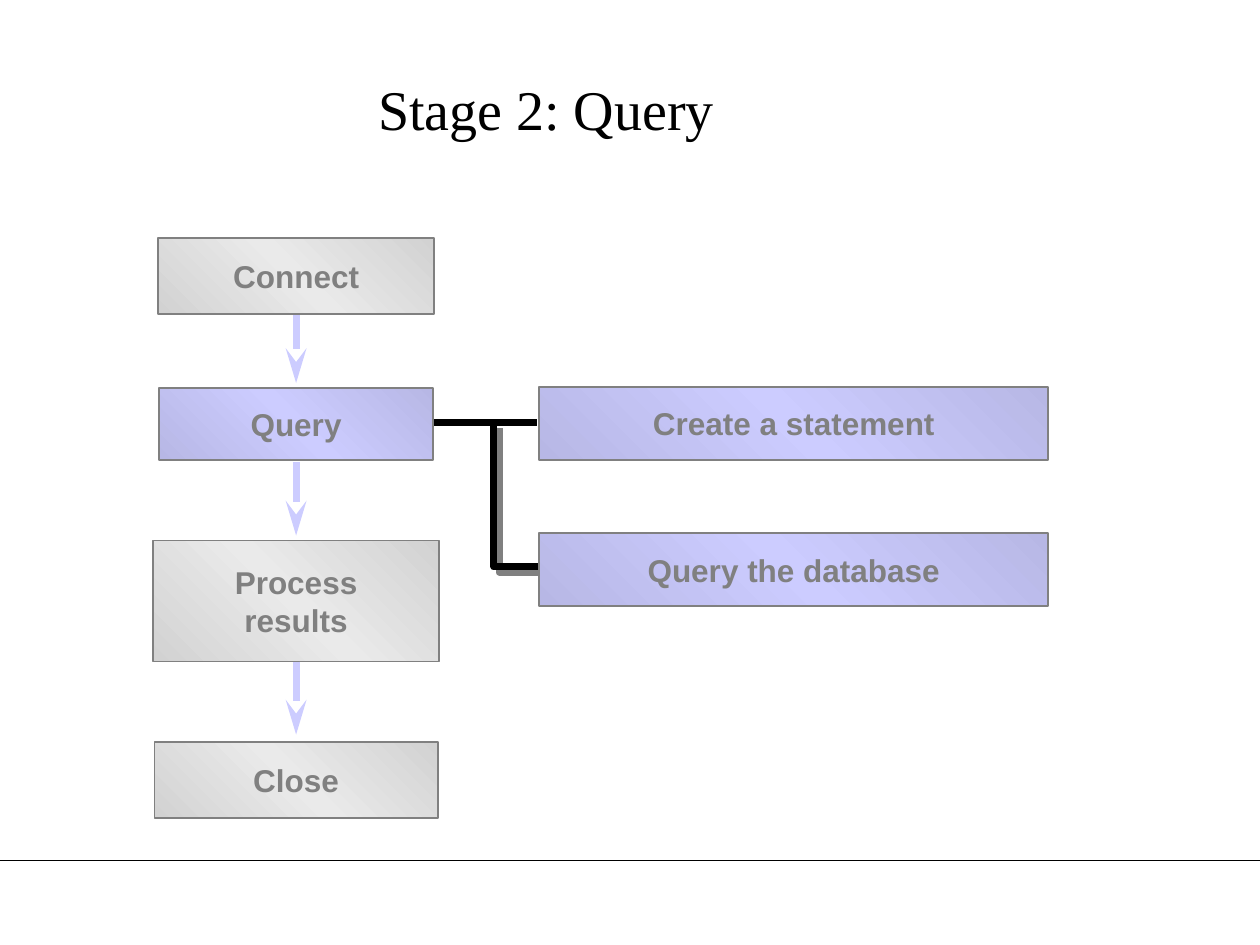
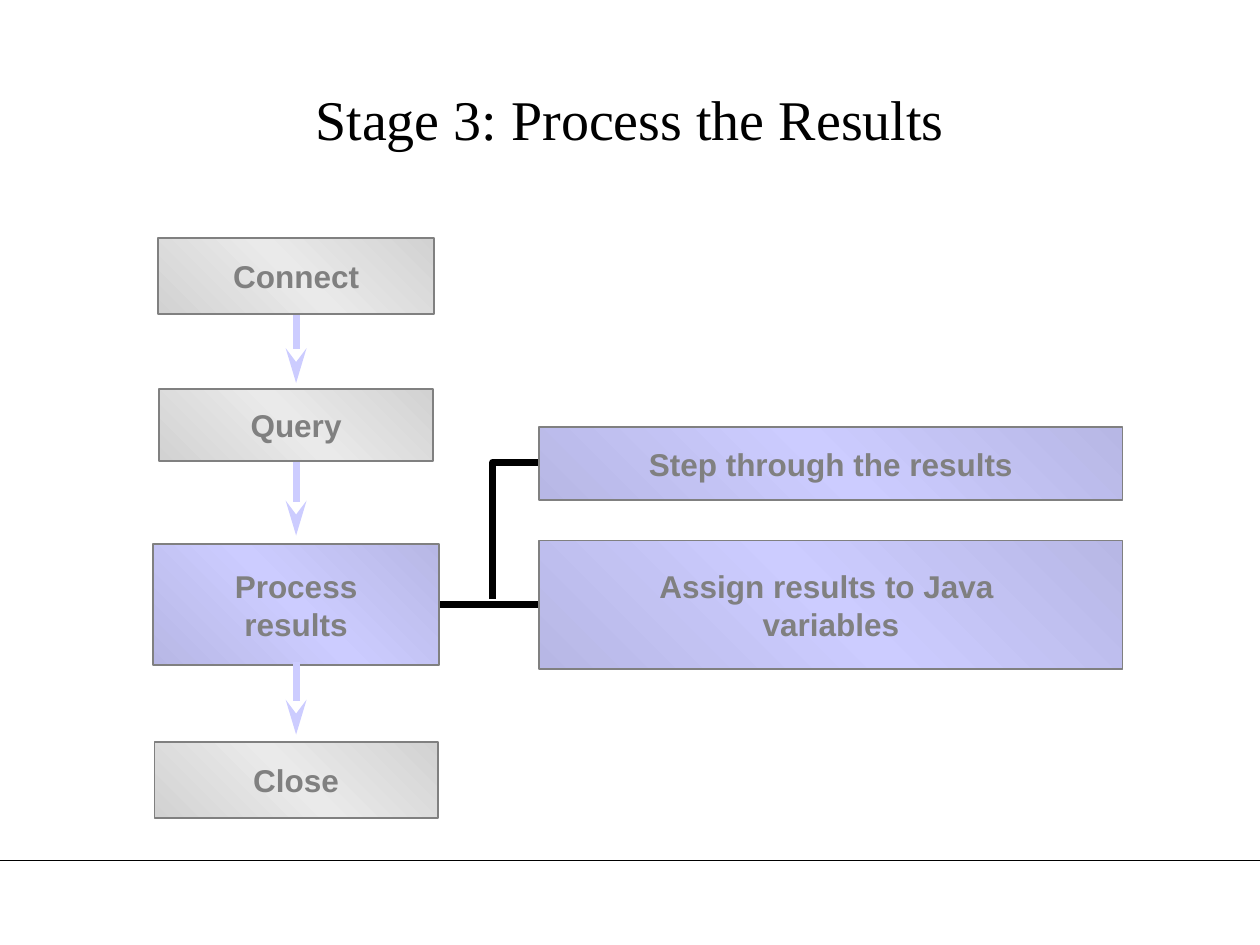
import pptx
import pptx.util
import pptx.dml.color
import pptx.enum.shapes
import pptx.enum.text
import pptx.oxml.ns
from lxml import etree

COLS, ROWS = 100, 75
WIDTH, HEIGHT = pptx.util.Inches(10), pptx.util.Inches(7.5)
GREY = ("D2D2D2", "EAEAEA")
LILAC = ("B7B7E5", "CCCCFF")
TITLE = {"size": pptx.util.Pt(32), "name": "Times New Roman", "bold": False}
LABEL = {"size": pptx.util.Pt(18), "name": "Arial", "bold": True}
AXIS, DETAIL_LEFT = 23.5, 42.8


def rgb(value):
    return pptx.dml.color.RGBColor.from_string(value)


def add_xml(parent, tag, **attrs):
    return etree.SubElement(parent, pptx.oxml.ns.qn(tag), attrs)


def set_all(target, values):
    for name, value in values.items():
        setattr(target, name, value)


class Deck:
    def __init__(self):
        self.prs = pptx.Presentation()
        set_all(self.prs, {"slide_width": WIDTH, "slide_height": HEIGHT})
        self.s = None

    def x(self, cols):
        return round(WIDTH * cols / COLS)

    def y(self, rows):
        return round(HEIGHT * rows / ROWS)

    def area(self, left, top, width, height):
        return self.x(left), self.y(top), self.x(width), self.y(height)

    def slide(self, title, *area):
        self.s = self.prs.slides.add_slide(self.prs.slide_layouts[6])
        self.line(0, 68.3, COLS, 68.3, "000000", 0.75)
        sp = self.s.shapes.add_textbox(*self.area(*area))
        set_all(sp.text_frame, {"word_wrap": True, "margin_top": self.y(0.9)})
        self.text(sp.text_frame, [title], TITLE, "000000")

    def text(self, tf, lines, style, color):
        p = tf.paragraphs[0]
        p.alignment = pptx.enum.text.PP_ALIGN.CENTER
        for i, words in enumerate(lines):
            if i:
                p.add_line_break()
            r = p.add_run()
            r.text = words
            set_all(r.font, style)
            r.font.color.rgb = rgb(color)

    def stroke(self, sp, color, width):
        sp.line.color.rgb = rgb(color)
        sp.line.width = pptx.util.Pt(width)

    def line(self, x1, y1, x2, y2, color="000000", width=4):
        sp = self.s.shapes.add_connector(
            pptx.enum.shapes.MSO_CONNECTOR.STRAIGHT,
            self.x(x1), self.y(y1), self.x(x2), self.y(y2))
        self.stroke(sp, color, width)
        add_xml(sp._element.spPr, "a:effectLst")
        return sp

    def arrow(self, top):
        sp = self.line(AXIS, top, AXIS, top + 5.8, "CCCCFF")
        ln = sp._element.spPr.find(pptx.oxml.ns.qn("a:ln"))
        add_xml(ln, "a:tailEnd", type="stealth", w="med", len="lg")

    def box(self, lines, left, top, width, height, shades):
        sp = self.s.shapes.add_shape(pptx.enum.shapes.MSO_SHAPE.RECTANGLE,
                                     *self.area(left, top, width, height))
        sp.shadow.inherit = False
        sp.fill.gradient()
        sp.fill.gradient_angle = 45
        stops = sp._element.spPr.find(".//" + pptx.oxml.ns.qn("a:gsLst"))
        for stop in list(stops):
            stops.remove(stop)
        edge, middle = shades
        for pos, color in ((0, edge), (50000, middle), (100000, edge)):
            stop = add_xml(stops, "a:gs", pos=str(pos))
            add_xml(stop, "a:srgbClr", val=color)
        self.stroke(sp, "808080", 1)
        set_all(sp.text_frame, {
            "word_wrap": False,
            "vertical_anchor": pptx.enum.text.MSO_ANCHOR.MIDDLE})
        self.text(sp.text_frame, lines, LABEL, "808080")

    def elbow(self, points, shadow=False):
        pts = [(self.x(x), self.y(y)) for x, y in points]
        builder = self.s.shapes.build_freeform(*pts[0])
        builder.add_line_segments(pts[1:], close=False)
        sp = builder.convert_to_shape()
        sp.fill.background()
        sp.shadow.inherit = False
        self.stroke(sp, "000000", 4)
        if shadow:
            effects = sp._element.spPr.find(pptx.oxml.ns.qn("a:effectLst"))
            outer = add_xml(effects, "a:outerShdw", blurRad="0",
                            dist=str(pptx.util.Pt(4.2)), dir="2700000")
            add_xml(outer, "a:srgbClr", val="808080")

    def stages(self, active, query_top, process_top):
        self.arrow(24.6)
        for lines, top, width, height in (
                (["Connect"], 18.9, 21.9, 6),
                (["Query"], query_top, 21.7, 5.7),
                (["Process", "results"], process_top, 22.7, 9.6),
                (["Close"], 58.9, 22.5, 6)):
            shades = LILAC if lines[0] == active else GREY
            self.box(lines, AXIS - width / 2, top, width, height, shades)
        for top in (36.7, 52.5):
            self.arrow(top)

    def details(self, width, items):
        for lines, top, height in items:
            self.box(lines, DETAIL_LEFT, top, width, height, LILAC)


def main():
    deck = Deck()

    deck.slide("Stage 2: Query", 5, 5, 76.7, 5)
    deck.line(33, 33.5, 42.6, 33.5)
    deck.elbow([(39.2, 33.6), (39.2, 45), (45, 45)], shadow=True)
    deck.stages("Query", 30.8, 42.9)
    deck.details(40.4, [(["Create a statement"], 30.7, 5.8),
                        (["Query the database"], 42.3, 5.8)])

    deck.slide("Stage 3: Process the Results", 10.1, 5.8, 79.8, 11.2)
    deck.line(33, 48, 45.8, 48)
    deck.elbow([(39.1, 47.5), (39.1, 36.7), (45, 36.7)])
    deck.stages("Process", 30.9, 43.2)
    deck.details(46.3, [(["Step through the results"], 33.9, 5.8),
                        (["Assign results to Java ", "variables"], 42.9, 10.2)])

    deck.prs.save("out.pptx")


if __name__ == "__main__":
    main()
